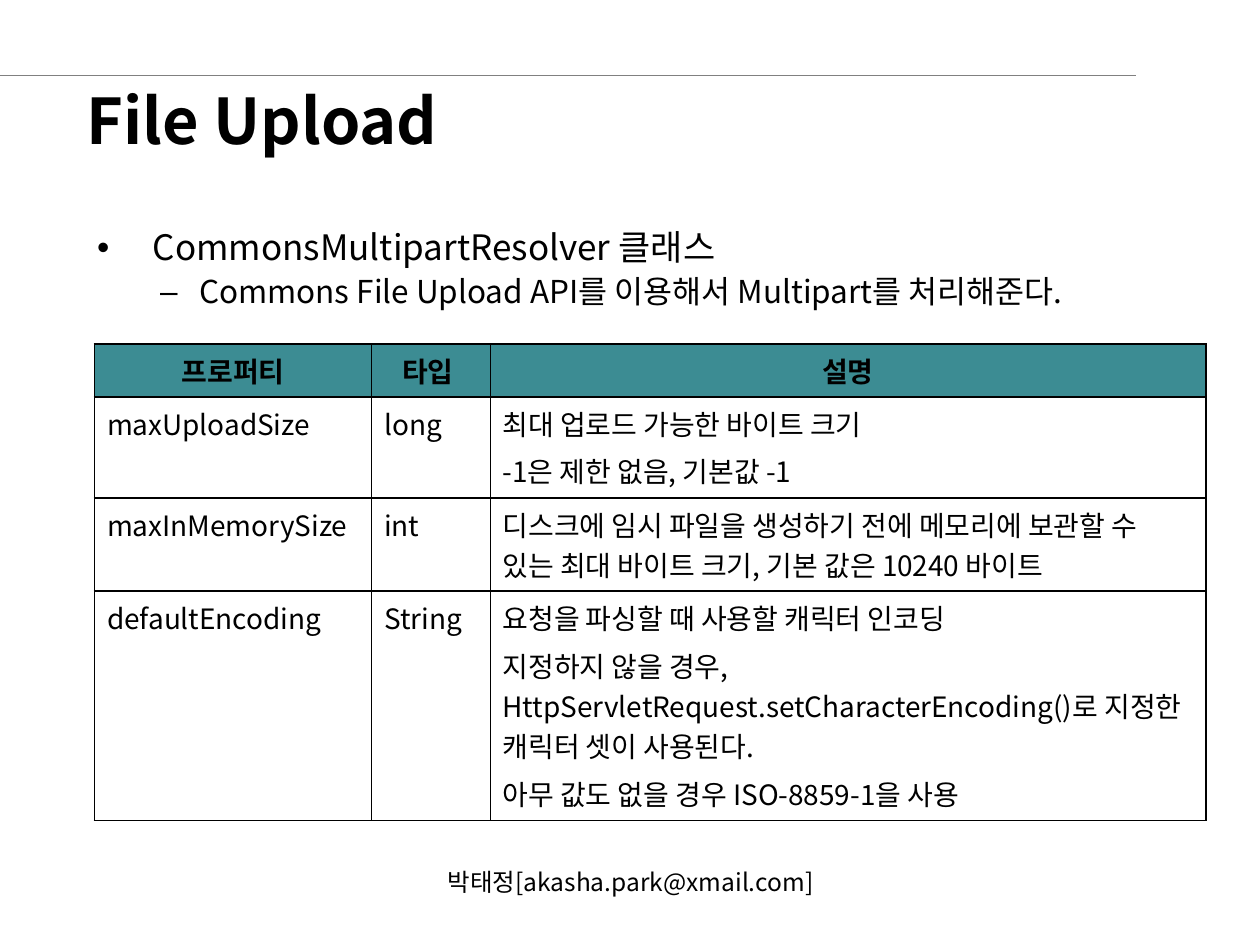
import pptx
import pptx.dml.color
import pptx.enum.shapes
import pptx.enum.text
import pptx.oxml
import pptx.oxml.ns
import pptx.util
from lxml import etree

FONT = "Noto Sans CJK KR"
BLACK, TEAL, GRAY = "000000", "3C8C93", "808080"
TITLE = "File Upload"
BULLETS = [
    (" CommonsMultipartResolver 클래스", 20, 5, 0.38, 0.38, "•"),
    ("Commons File Upload API를 이용해서 Multipart를 처리해준다.", 18, 4.5, 0.81, 0.31, "–"),
]
PROPERTIES = [
    ("프로퍼티", "타입 ", "설명"),
    ("maxUploadSize", "long", "최대 업로드 가능한 바이트 크기\n-1은 제한 없음, 기본값 -1"),
    ("maxInMemorySize", "int",
     "디스크에 임시 파일을 생성하기 전에 메모리에 보관할 수 있는 최대 바이트 크기, 기본 값은 10240 바이트"),
    ("defaultEncoding", "String",
     "요청을 파싱할 때 사용할 캐릭터 인코딩\n"
     "지정하지 않을 경우, HttpServletRequest.setCharacterEncoding()로 지정한 캐릭터 셋이 사용된다.\n"
     "아무 값도 없을 경우 ISO-8859-1을 사용"),
]
COLUMN_WIDTHS = [2.2, 0.94, 5.68]
ROW_HEIGHTS = [0.42, 0.8, 0.74, 1.82]
AUTHOR = "박태정[akasha.park@xmail.com]"

Inches, Pt = pptx.util.Inches, pptx.util.Pt
ALIGN, ANCHOR = pptx.enum.text.PP_ALIGN, pptx.enum.text.MSO_ANCHOR
qn = pptx.oxml.ns.qn


def color(value):
    return pptx.dml.color.RGBColor.from_string(value)


def style(paragraph, size, bold=False, align=ALIGN.LEFT, before=0):
    paragraph.alignment = align
    paragraph.space_before = Pt(before)
    font = paragraph.font
    font.size, font.bold, font.name = Pt(size), bold, FONT
    font.color.rgb = color(BLACK)
    latin = paragraph.font._element.find(qn("a:latin"))
    east_asian = etree.Element(qn("a:ea"), typeface=FONT)
    latin.addnext(east_asian)


def place(shape, left, top, width, height):
    shape.left, shape.top = Inches(left), Inches(top)
    shape.width, shape.height = Inches(width), Inches(height)


def add_bullet(paragraph, indent, hanging, mark):
    properties = paragraph._p.get_or_add_pPr()
    properties.set("marL", str(Inches(indent)))
    properties.set("indent", str(-Inches(hanging)))
    bullet = etree.Element(qn("a:buChar"), char=mark)
    properties.find(qn("a:defRPr")).addprevious(bullet)


def add_borders(cell, widths):
    properties = cell._tc.get_or_add_tcPr()
    for side, width in zip("LRTB", widths):
        line = etree.SubElement(properties, qn(f"a:ln{side}"), w=str(Pt(width)))
        fill = etree.SubElement(line, qn("a:solidFill"))
        etree.SubElement(fill, qn("a:srgbClr"), val=BLACK)


def add_rule(slide):
    rule = slide.shapes.add_connector(
        pptx.enum.shapes.MSO_CONNECTOR.STRAIGHT,
        Inches(-0.04), Inches(0.6), Inches(9.02), Inches(0.6))
    rule.line.color.rgb = color(GRAY)
    rule.line.width = Pt(0.75)
    etree.SubElement(rule._element.spPr, qn("a:effectLst"))


def add_heading(slide):
    title, body = slide.placeholders
    place(title, 0.59, 0.6, 8.25, 0.7)
    title.text_frame.text = TITLE
    title.text_frame.vertical_anchor = ANCHOR.MIDDLE
    style(title.text_frame.paragraphs[0], 36, bold=True)

    place(body, 0.67, 1.78, 8.9, 0.79)
    body.text_frame.text = "\n".join(text for text, *_ in BULLETS)
    for level, (paragraph, bullet) in enumerate(zip(body.text_frame.paragraphs, BULLETS)):
        _, size, before, indent, hanging, mark = bullet
        paragraph.level = level
        paragraph.line_spacing = 0.9
        style(paragraph, size, before=before)
        add_bullet(paragraph, indent, hanging, mark)
    for placeholder in (title, body):
        placeholder.text_frame.auto_size = pptx.enum.text.MSO_AUTO_SIZE.NONE


def add_properties(slide):
    table = slide.shapes.add_table(
        len(PROPERTIES), len(COLUMN_WIDTHS), Inches(0.75), Inches(2.73),
        Inches(sum(COLUMN_WIDTHS)), Inches(sum(ROW_HEIGHTS))).table
    table.first_row = table.horz_banding = False
    for column, width in zip(table.columns, COLUMN_WIDTHS):
        column.width = Inches(width)
    for row, height in zip(table.rows, ROW_HEIGHTS):
        row.height = Inches(height)
    last = len(COLUMN_WIDTHS) - 1
    for r, texts in enumerate(PROPERTIES):
        header = r == 0
        for c, text in enumerate(texts):
            cell = table.cell(r, c)
            cell.text = text
            add_borders(cell, (1.08 if c == 0 else 0.45, 1.08 if c == last else 0.45, 1.08, 1.08))
            if header:
                cell.fill.solid()
                cell.fill.fore_color.rgb = color(TEAL)
            else:
                cell.fill.background()
            for paragraph in cell.text_frame.paragraphs:
                style(paragraph, 16, header, ALIGN.CENTER if header else ALIGN.LEFT, 4)


def add_author(slide):
    author = slide.shapes.add_textbox(Inches(3.42), Inches(6.83), Inches(3.17), Inches(0.5))
    author.text_frame.word_wrap = True
    author.text_frame.text = AUTHOR
    style(author.text_frame.paragraphs[0], 14, align=ALIGN.CENTER)


def main():
    """Build the File Upload slide and save it."""
    deck = pptx.Presentation()
    deck.slide_width, deck.slide_height = Inches(10), Inches(7.5)
    slide = deck.slides.add_slide(deck.slide_layouts[1])
    add_rule(slide)
    add_heading(slide)
    add_properties(slide)
    add_author(slide)
    deck.save("out.pptx")


if __name__ == "__main__":
    main()
